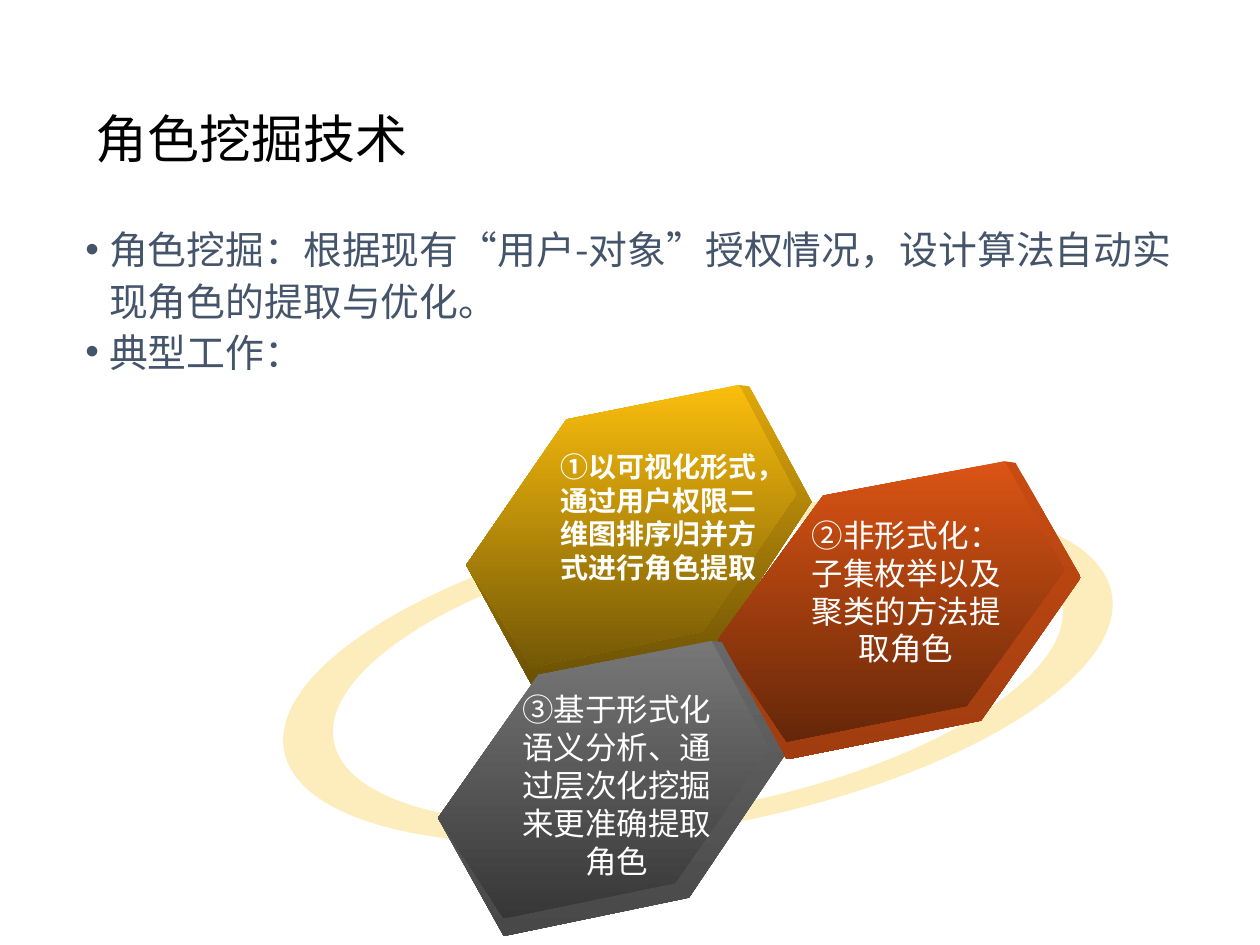
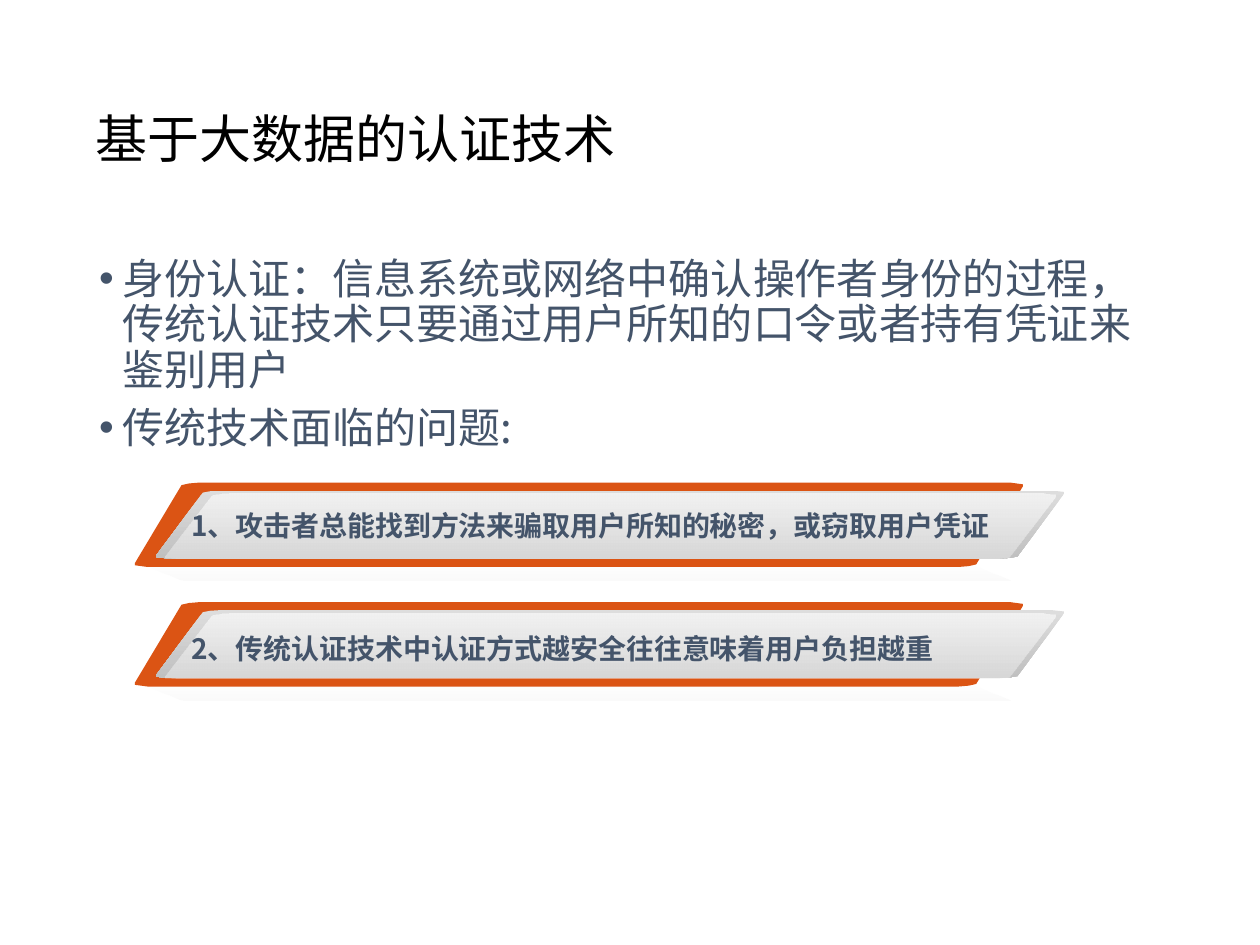
from math import cos, pi, sin

from lxml.etree import SubElement
from pptx import Presentation
from pptx.dml.color import RGBColor
from pptx.enum.text import MSO_ANCHOR as Anchor, PP_ALIGN as Align
from pptx.oxml.ns import qn
from pptx.util import Cm, Pt

FONT = "Noto Sans CJK SC"
INK, SLATE, WHITE = "000000", "44546A", "FFFFFF"
GOLD, RUST, GREY = ("FBBE0D", "745806"), ("DB5414", "652709"), ("777777", "373737")
SIDE = [(0, .6), (.29, .115), (.79, 0), (.82, .005), (1, .39), (.725, .87), (.19, 1)]
FACE = [(0, .6), (.29, .115), (.79, 0), (.955, .365), (.685, .82), (.19, .94)]


def tint(color, code):
    """Set a colour from a hex string."""
    color.rgb = RGBColor.from_string(code)


def fade(node, alpha):
    """Give every colour below a node an opacity in percent."""
    for tone in node.iter(qn("a:srgbClr")):
        SubElement(tone, qn("a:alpha"), val=str(alpha * 1000))


def paint(shape, *codes, alphas=(100, 100)):
    """Fill a shape with one colour or a gradient from top to bottom."""
    shape.shadow.inherit = False
    shape.line.fill.background()
    fill, props = shape.fill, shape._element.spPr
    if len(codes) == 1:
        fill.solid()
        tint(fill.fore_color, codes[0])
        nodes = [props.find(qn("a:solidFill"))]
    else:
        fill.gradient()
        fill.gradient_angle = 270
        for stop, code in zip(fill.gradient_stops, codes):
            tint(stop.color, code)
        nodes = list(props.iter(qn("a:gs")))
    for node, alpha in zip(nodes, alphas):
        if alpha < 100:
            fade(node, alpha)


def trace(slide, *loops):
    """Draw closed outlines given in centimetres as one shape."""
    loops = [[(Cm(x), Cm(y)) for x, y in loop] for loop in loops]
    pen = slide.shapes.build_freeform(*loops[0][0], scale=1.0)
    for i, loop in enumerate(loops):
        if i:
            pen.move_to(*loop[0])
        pen.add_line_segments(loop[1:], close=False)
        pen.add_line_segments([], close=True)
    return pen.convert_to_shape()


def bend(shape):
    """Turn each three line segments of a shape into one curve."""
    lines = list(shape._element.iter(qn("a:lnTo")))
    for i in range(0, len(lines), 3):
        first = lines[i]
        first.tag = qn("a:cubicBezTo")
        for line in lines[i + 1:i + 3]:
            first.append(line[0])
            line.getparent().remove(line)


def write(slide, box, *texts, size=18, color=WHITE, bold=False, align=Align.LEFT,
          anchor=Anchor.MIDDLE, wrap=True, lines=(), gap=0, bullet=False):
    """Add a text box with one paragraph for each text."""
    frame = slide.shapes.add_textbox(*map(Cm, box)).text_frame
    frame.word_wrap, frame.vertical_anchor = wrap, anchor
    for i, text in enumerate(texts):
        para = frame.add_paragraph() if i else frame.paragraphs[0]
        para.alignment = align
        if lines:
            para.line_spacing = lines[i]
        if i:
            para.space_before = Pt(gap)
        if bullet:
            props = para._p.get_or_add_pPr()
            props.set("marL", str(Cm(.48)))
            props.set("indent", str(Cm(-.48)))
            SubElement(props, qn("a:buFont"), typeface="Arial")
            SubElement(props, qn("a:buChar"), char="•")
        run = para.add_run()
        run.text = text
        font = run.font
        font.size, font.bold, font.name = Pt(size), bold, FONT
        tint(font.color, color)
        SubElement(run._r.get_or_add_rPr(), qn("a:ea"), typeface=FONT)


def head(deck, title, width):
    """Add a blank slide with its title."""
    slide = deck.slides.add_slide(deck.slide_layouts[6])
    write(slide, (1.68, 2.18, width, 1.35), title, size=29.7, color=INK, lines=(.9,))
    return slide


def body(slide, box, *texts, size, lines):
    """Add the bulleted text."""
    write(slide, box, *texts, size=size, lines=lines, color=SLATE,
          anchor=Anchor.TOP, gap=7.5, bullet=True)


def oval(x, y, a, b, turn):
    """Give the curve points of an ellipse around a centre."""
    k, spots = .5523 * turn, [(x + a, y)]
    for i in range(4):
        s, t = turn * pi * i / 2, turn * pi * (i + 1) / 2
        spots += [(x + a * (cos(s) - k * sin(s)), y + b * (sin(s) + k * cos(s))),
                  (x + a * (cos(t) + k * sin(t)), y + b * (sin(t) - k * cos(t))),
                  (x + a * cos(t), y + b * sin(t))]
    return spots


def ring(slide, x, y, w, h, band):
    """Draw the tilted ring; band holds its width across and down."""
    a, b = w / 2, h / 2
    shape = trace(slide, oval(x + a, y + b, a, b, 1),
                  oval(x + a, y + b, a - band[0], b - band[1], -1))
    bend(shape)
    paint(shape, "FDDB7B", alphas=(50,))
    shape.rotation = 349.2


def tile(slide, box, tones, rim, label, spot, **style):
    """Draw a thick hexagon tile with its label."""
    x, y, w, h = box
    for form, pair in ((SIDE, rim), (FACE, tones)):
        paint(trace(slide, [(x + w * u, y + h * v) for u, v in form]), *pair)
    write(slide, spot, label, align=Align.CENTER, **style)


def slab(slide, x, y, w, h, *codes, flip=False, **style):
    """Draw a slanted bar with soft corners."""
    half = [(.03, .955), (.97, .03), (1.12, .01), (1.32, 0), (w - .28, 0), (w - .03, .02)]
    form = half + [(w - u, 1 - v) for u, v in half]
    spots = [(x + u, y + h * (1 - v if flip else v)) for u, v in form]
    paint(trace(slide, spots), *codes, **style)


def strip(slide, x, y, text, drop, width):
    """Build one layered bar and its line of text."""
    slab(slide, x + .03, y + 1.6, 17.68, .38, "EAEAEA", "E7E6E6", flip=True, alphas=(0, 20))
    slab(slide, x, y, 17.96, 1.7, RUST[0])
    slab(slide, x + .43, y + .16, 18.36, 1.37, "DDDDDD", "C0C0C0")
    slab(slide, x + .61, y + .23, 18, 1.3, WHITE, "EFEFEF", alphas=(60, 50))
    write(slide, (x + .92, y + drop, width, .94), text, size=16, color=SLATE,
          bold=True, wrap=False)


def mining(deck):
    """Build the slide on role mining."""
    slide = head(deck, "角色挖掘技术", 7.82)
    body(slide, (1.47, 4.34, 22.76, 3.38),
         "角色挖掘：根据现有“用户-对象”授权情况，设计算法自动实现角色的提取与优化。",
         "典型工作：", size=22.2, lines=(1.1, .8))
    ring(slide, 5.58, 10.43, 16.98, 6.24, (1.02, .36))
    tile(slide, (9.4, 7.76, 6.96, 6.05), GOLD, ("DFA80A", "6A5005"),
         "①以可视化形式，通过用户权限二维图排序归并方式进行角色提取",
         (11, 8.92, 4.55, 3), size=16, bold=True)
    tile(slide, (14.47, 9.3, 7.32, 6.01), RUST, ("C84C12", "A03C10"),
         "②非形式化：子集枚举以及聚类的方法提取角色", (16.03, 10.26, 4.47, 3.33))
    tile(slide, (8.83, 12.92, 6.98, 5.95), GREY, ("686868", "484848"),
         "③基于形式化语义分析、通过层次化挖掘来更准确提取角色", (10.13, 13.77, 4.6, 4.11))


def login(deck):
    """Build the slide on authentication."""
    slide = head(deck, "基于大数据的认证技术", 12.01)
    body(slide, (1.75, 5.08, 21.89, 12.09),
         "身份认证：信息系统或网络中确认操作者身份的过程，传统认证技术只要通过用户所知的口令或者持有凭证来鉴别用户",
         "传统技术面临的问题:", size=24, lines=(.9, .9))
    rows = [("1、攻击者总能找到方法来骗取用户所知的秘密，或窃取用户凭证", .39, 16.9),
            ("2、传统认证技术中认证方式越安全往往意味着用户负担越重", .46, 15.75)]
    for i, row in enumerate(rows):
        strip(slide, 2.69, 9.73 + 2.41 * i, *row)


def main():
    """Build and save the deck."""
    deck = Presentation()
    deck.slide_width, deck.slide_height = Cm(25.4), Cm(19.05)
    mining(deck)
    login(deck)
    deck.save("out.pptx")


if __name__ == "__main__":
    main()
